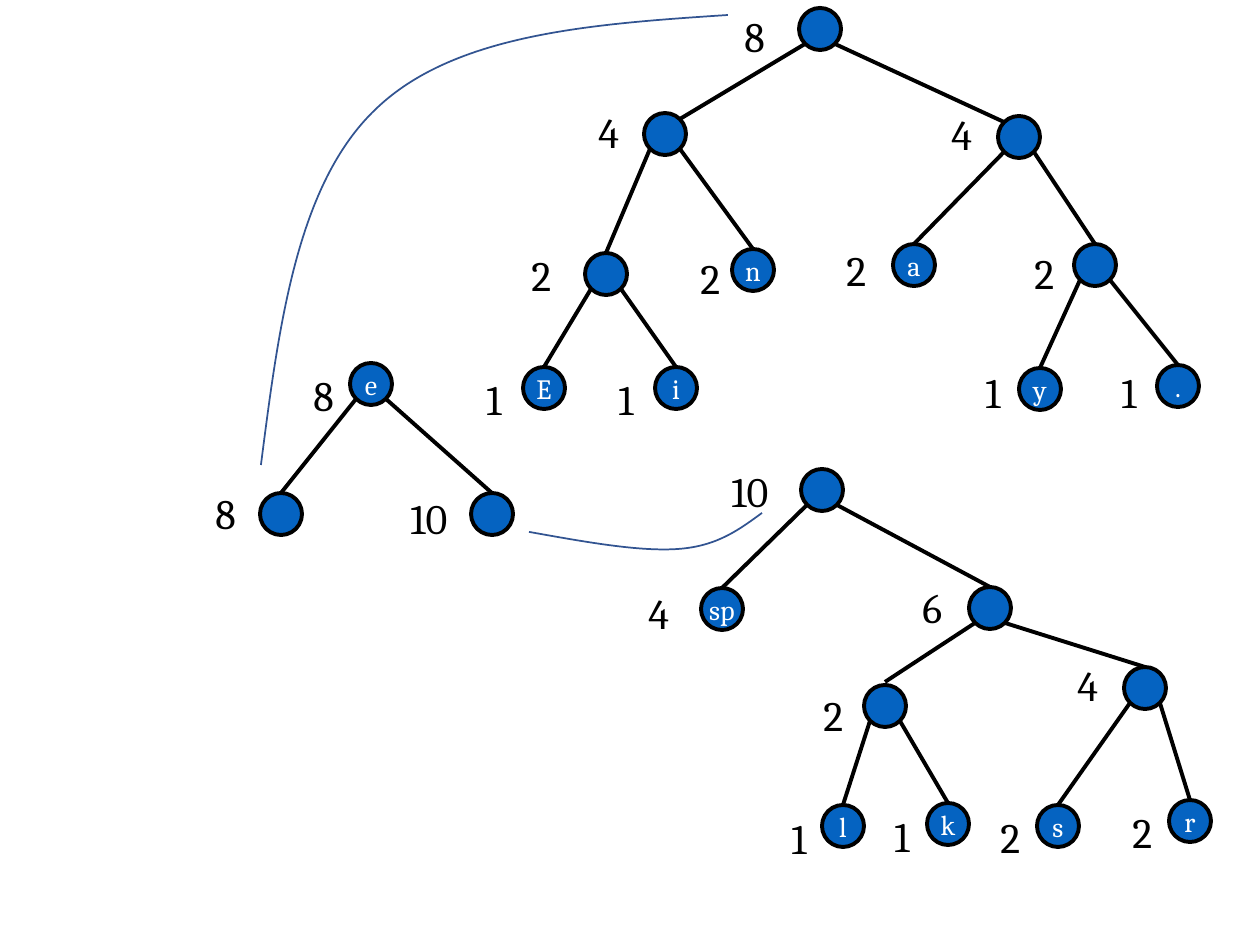
from lxml import etree
from pptx import Presentation
from pptx.dml.color import RGBColor
from pptx.enum.shapes import MSO_CONNECTOR, MSO_SHAPE
from pptx.enum.text import MSO_ANCHOR, MSO_AUTO_SIZE, PP_ALIGN
from pptx.oxml.ns import qn
from pptx.util import Pt

PIXEL = 914400 // 126
OVAL = MSO_SHAPE.OVAL
STRAIGHT = MSO_CONNECTOR.STRAIGHT
MIDDLE, TOP = MSO_ANCHOR.MIDDLE, MSO_ANCHOR.TOP
CENTER, LEFT = PP_ALIGN.CENTER, PP_ALIGN.LEFT
GROW, FIXED = MSO_AUTO_SIZE.SHAPE_TO_FIT_TEXT, MSO_AUTO_SIZE.NONE

BLACK = RGBColor(0x00, 0x00, 0x00)
WHITE = RGBColor(0xFF, 0xFF, 0xFF)
NODE_BLUE = RGBColor(0x05, 0x63, 0xC1)
CURVE_BLUE = RGBColor(0x32, 0x54, 0x91)

NODE_SIZE = 42
RIM = 6  # inset of the diagonal rim points of a node
LABEL_HEIGHT = 63
LABEL_WIDTHS = {1: 49, 2: 72}  # by number of digits

# name: (parent, node left, node top, letter, weight, label left, label top)
NODES = {
    "joined": (None, 350, 363, "e", "8", 301, 363),
    "joined left": ("joined", 260, 493, "", "8", 203, 481),
    "joined right": ("joined", 471, 493, "", "10", 398, 486),
    "eight": (None, 799, 8, "", "8", 732, 4),
    "eight left": ("eight", 644, 113, "", "4", 586, 100),
    "eight right": ("eight", 998, 116, "", "4", 939, 102),
    "E and i": ("eight left", 585, 253, "", "2", 519, 243),
    "n": ("eight left", 732, 249, "n", "2", 688, 246),
    "a": ("eight right", 893, 244, "a", "2", 834, 238),
    "y and stop": ("eight right", 1074, 244, "", "2", 1022, 241),
    "E": ("E and i", 523, 367, "E", "1", 474, 367),
    "i": ("E and i", 655, 367, "i", "1", 606, 367),
    "y": ("y and stop", 1019, 368, "y", "1", 973, 360),
    "stop": ("y and stop", 1157, 365, ".", "1", 1109, 360),
    "ten": (None, 801, 469, "", "10", 719, 459),
    "space": ("ten", 701, 588, "sp", "4", 636, 581),
    "six": ("ten", 969, 587, "", "6", 910, 575),
    "l and k": ("six", 864, 685, "", "2", 811, 683),
    "s and r": ("six", 1124, 667, "", "4", 1065, 653),
    "l": ("l and k", 822, 805, "l", "1", 779, 806),
    "k": ("l and k", 927, 803, "k", "1", 882, 804),
    "s": ("s and r", 1037, 805, "s", "2", 988, 805),
    "r": ("s and r", 1169, 800, "r", "2", 1120, 800),
}

# Where an edge meets its child, relative to the node; otherwise top centre
EDGE_ENDS = {
    "eight left": (NODE_SIZE - RIM, RIM),
    "eight right": (RIM, RIM),
    "l and k": (NODE_SIZE // 2, -3),
}

# Each curve: a start, then triples of two control points and an end
CURVES = [
    [(728, 15), (591, 24), (454, 34), (376, 109), (297, 184), (279, 325), (261, 465)],
    [(762, 513), (740, 529), (718, 546), (679, 549), (640, 552), (585, 542), (529, 532)],
]


def write(shape, text, size, color, align=LEFT, anchor=TOP, auto_size=FIXED):
    """Put one formatted line of text into a shape."""
    frame = shape.text_frame
    frame.word_wrap = False
    frame.auto_size = auto_size
    frame.vertical_anchor = anchor
    paragraph = frame.paragraphs[0]
    paragraph.alignment = align
    run = paragraph.add_run()
    run.text = text
    run.font.name = "Cambria"
    run.font.size = Pt(size)
    run.font.color.rgb = color


def set_line(shape, color, width):
    """Give a shape or connector a solid line."""
    shape.line.color.rgb = color
    shape.line.width = Pt(width)


presentation = Presentation()
presentation.slide_width = 1260 * PIXEL
presentation.slide_height = 945 * PIXEL
slide = presentation.slides.add_slide(presentation.slide_layouts[6])
shapes = slide.shapes

for start, *points in CURVES:
    builder = shapes.build_freeform(*start, scale=PIXEL)
    builder.add_line_segments(points, close=False)
    curve = builder.convert_to_shape()
    curve.shadow.inherit = False
    curve.fill.background()
    set_line(curve, CURVE_BLUE, 1)
    # Gather every three straight segments into one Bezier segment
    segments = list(curve._element.iter(qn("a:lnTo")))
    for index in range(0, len(segments), 3):
        bezier = etree.SubElement(segments[index].getparent(), qn("a:cubicBezTo"))
        for segment in segments[index:index + 3]:
            bezier.append(segment[0])
            segment.getparent().remove(segment)

for name, (parent, left, top, letter, weight, label_left, label_top) in NODES.items():
    if parent:
        parent_left, parent_top = NODES[parent][1:3]
        end_x, end_y = EDGE_ENDS.get(name, (NODE_SIZE // 2, 0))
        rim_x = RIM if left < parent_left else NODE_SIZE - RIM
        edge = shapes.add_connector(
            STRAIGHT, (left + end_x) * PIXEL, (top + end_y) * PIXEL,
            (parent_left + rim_x) * PIXEL, (parent_top + NODE_SIZE - RIM) * PIXEL)
        set_line(edge, BLACK, 2.25)
        etree.SubElement(edge._element.spPr, qn("a:effectLst"))

    node = shapes.add_shape(OVAL, left * PIXEL, top * PIXEL,
                            NODE_SIZE * PIXEL, NODE_SIZE * PIXEL)
    node.shadow.inherit = False
    node.fill.solid()
    node.fill.fore_color.rgb = NODE_BLUE
    set_line(node, BLACK, 2.25)
    if letter:
        write(node, letter, 16, WHITE, align=CENTER, anchor=MIDDLE)

    label = shapes.add_textbox(label_left * PIXEL, label_top * PIXEL,
                               LABEL_WIDTHS[len(weight)] * PIXEL, LABEL_HEIGHT * PIXEL)
    write(label, weight, 24, BLACK, auto_size=GROW)

presentation.save("out.pptx")
